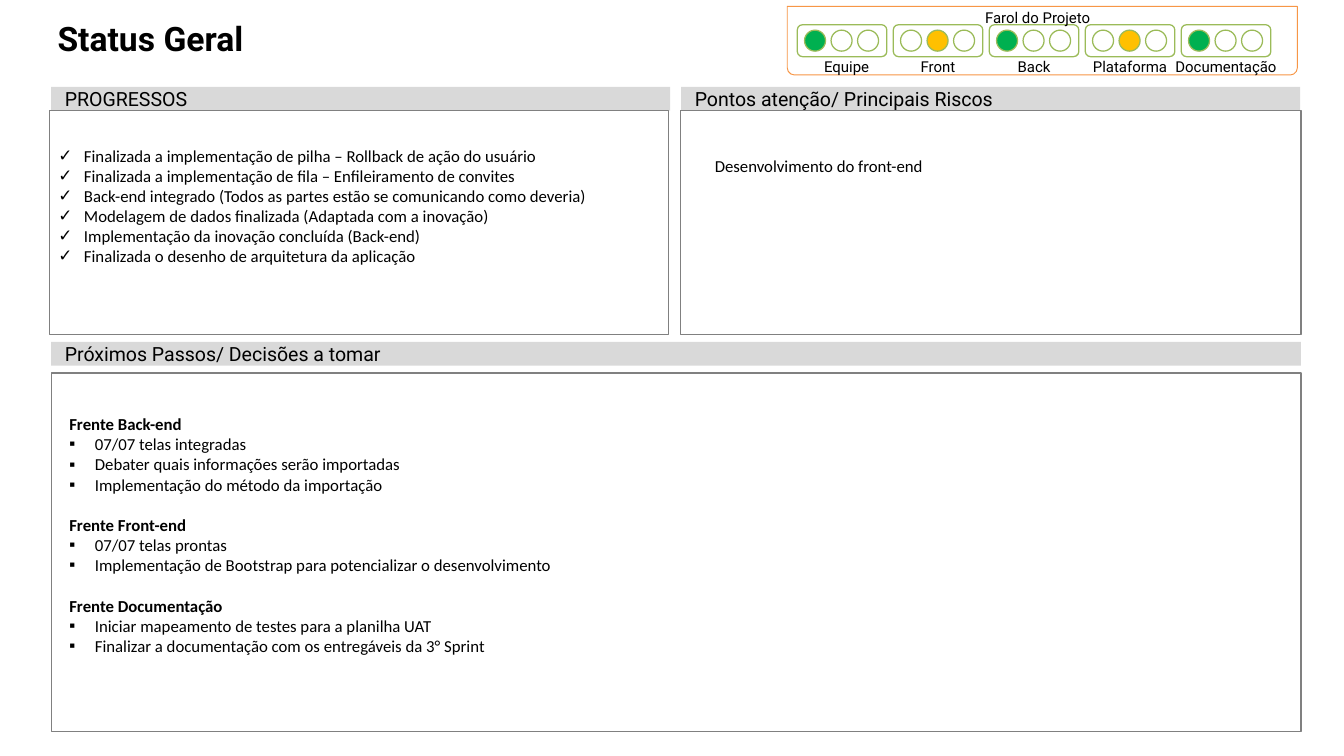
import lxml.etree
import pptx
import pptx.dml.color
import pptx.enum.shapes
import pptx.enum.text
import pptx.oxml.ns
import pptx.util

Inches = pptx.util.Inches
Pt = pptx.util.Pt
SHAPES = pptx.enum.shapes.MSO_SHAPE
ANCHOR = pptx.enum.text.MSO_ANCHOR
ALIGN = pptx.enum.text.PP_ALIGN

GREEN, YELLOW = "00B050", "FFC000"
LIGHTS = [
    ("Equipe", 0, GREEN, 0.05),
    ("Front", 1, YELLOW, 0),
    ("Back", 0, GREEN, 0),
    ("Plataforma", 1, YELLOW, 0),
    ("Documentação", 0, GREEN, 0),
]
PROGRESS = [
    "Finalizada a implementação de pilha – Rollback de ação do usuário",
    "Finalizada a implementação de fila – Enfileiramento de convites",
    "Back-end integrado (Todos as partes estão se comunicando como deveria)",
    "Modelagem de dados finalizada (Adaptada com a inovação)",
    "Implementação da inovação concluída (Back-end)",
    "Finalizada o desenho de arquitetura da aplicação",
]
NEXT_STEPS = {
    "Frente Back-end": [
        "07/07 telas integradas",
        "Debater quais informações serão importadas",
        "Implementação do método da importação",
    ],
    "Frente Front-end": [
        "07/07 telas prontas",
        "Implementação de Bootstrap para potencializar o desenvolvimento",
    ],
    "Frente Documentação": [
        "Iniciar mapeamento de testes para a planilha UAT",
        "Finalizar a documentação com os entregáveis da 3° Sprint",
    ],
}


def color(value):
    return pptx.dml.color.RGBColor.from_string(value)


def add_box(slide, kind, left, top, width, height, fill=None, line=None, weight=1):
    shape = slide.shapes.add_shape(kind, Inches(left), Inches(top), Inches(width), Inches(height))
    shape.shadow.inherit = False
    if fill:
        shape.fill.solid()
        shape.fill.fore_color.rgb = color(fill)
    else:
        shape.fill.background()
    if line:
        shape.line.color.rgb = color(line)
        shape.line.width = Pt(weight)
    else:
        shape.line.fill.background()
    return shape


def add_text_box(slide, left, top, width, height):
    return slide.shapes.add_textbox(Inches(left), Inches(top), Inches(width), Inches(height))


def set_frame(shape, anchor, margins):
    frame = shape.text_frame
    frame.word_wrap = True
    frame.vertical_anchor = anchor
    frame.margin_left, frame.margin_top, frame.margin_right, frame.margin_bottom = map(Inches, margins)
    return frame


def write(paragraph, text, size, font, bold=False, align=ALIGN.LEFT):
    paragraph.text = text
    paragraph.alignment = align
    for run in paragraph.runs:
        run.font.size = Pt(size)
        run.font.name = font
        run.font.bold = bold
        run.font.color.rgb = color("000000")


def add_bullet(paragraph, character):
    properties = paragraph._p.get_or_add_pPr()
    properties.set("marL", str(Inches(0.28)))
    properties.set("indent", str(Inches(-0.28)))
    font = lxml.etree.SubElement(properties, pptx.oxml.ns.qn("a:buFont"))
    font.set("typeface", "Calibri")
    bullet = lxml.etree.SubElement(properties, pptx.oxml.ns.qn("a:buChar"))
    bullet.set("char", character)


def write_lines(frame, lines):
    for index, (text, bullet, space) in enumerate(lines):
        paragraph = frame.add_paragraph() if index else frame.paragraphs[0]
        write(paragraph, text, 13.2, "Calibri", bold=bullet is None)
        paragraph.space_before = Pt(space)
        if bullet:
            add_bullet(paragraph, bullet)


def add_title(slide, left, top, width, height):
    title = add_text_box(slide, left, top, width, height)
    frame = set_frame(title, ANCHOR.TOP, (0.12, 0, 0.12, 0))
    write(frame.paragraphs[0], "Status Geral", 26.5, "Roboto", bold=True)


def add_label(slide, text, center, top):
    width = 1.6
    label = add_text_box(slide, center - width / 2, top, width, 0.2)
    frame = set_frame(label, ANCHOR.BOTTOM, (0, 0, 0, 0))
    write(frame.paragraphs[0], text, 11.8, "Roboto", align=ALIGN.CENTER)


def add_traffic_light(slide, left, top, name, lit, lit_color, label_shift):
    add_box(slide, SHAPES.ROUNDED_RECTANGLE, left, top, 0.98, 0.35, "FFFFFF", "9BBB59")
    for position in range(3):
        fill = lit_color if position == lit else "FFFFFF"
        add_box(slide, SHAPES.OVAL, left + 0.08 + 0.29 * position, top + 0.06, 0.23, 0.23, fill, "9BBB59")
    add_label(slide, name, left + 0.49 + label_shift, top + 0.36)


def add_project_lights(slide, left, top, width, height):
    border = add_box(slide, SHAPES.ROUND_2_SAME_RECTANGLE, left, top, width, height, line="F79646", weight=0.75)
    border.adjustments[0] = 0.106
    border.rotation = 180
    for index, light in enumerate(LIGHTS):
        add_traffic_light(slide, left + 0.11 + 1.05 * index, top + 0.2, *light)
    add_label(slide, "Farol do Projeto", left + 2.74, top + 0.02)


def add_header(slide, text, left, top, width):
    header = add_box(slide, SHAPES.RECTANGLE, left, top, width, 0.26, fill="D9D9D9")
    frame = set_frame(header, ANCHOR.MIDDLE, (0.15, 0.07, 0.15, 0.07))
    write(frame.paragraphs[0], text, 15.4, "Roboto")


def add_panel(slide, left, top, width, height):
    return add_box(slide, SHAPES.RECTANGLE, left, top, width, height, line="808080")


def add_progress(slide, left, top, width, height):
    add_header(slide, "PROGRESSOS", left + 0.02, top, width)
    panel = add_panel(slide, left, top + 0.26, width, height - 0.26)
    frame = set_frame(panel, ANCHOR.TOP, (0.1, 0.38, 0.1, 0.05))
    write_lines(frame, [(text, "✓", 0) for text in PROGRESS])


def add_risks(slide, left, top, width, height):
    add_header(slide, "Pontos atenção/ Principais Riscos", left + 0.01, top, width - 0.02)
    add_panel(slide, left, top + 0.26, width, height - 0.26)
    note = add_text_box(slide, left + 0.28, top + 0.7, 4, 0.32)
    frame = set_frame(note, ANCHOR.TOP, (0.1, 0.05, 0.1, 0.05))
    write(frame.paragraphs[0], "Desenvolvimento do front-end", 13.2, "Calibri")


def add_next_steps(slide, left, top, width, height):
    add_header(slide, "Próximos Passos/ Decisões a tomar", left, top, width)
    add_panel(slide, left, top + 0.34, width, height - 0.34)
    steps = add_text_box(slide, left + 0.1, top + 0.74, 7, 2.8)
    frame = set_frame(steps, ANCHOR.TOP, (0.1, 0.05, 0.1, 0.05))
    lines = []
    for front, tasks in NEXT_STEPS.items():
        lines.append((front, None, 16 if lines else 0))
        lines.extend((task, "▪", 0) for task in tasks)
    write_lines(frame, lines)


def main():
    presentation = pptx.Presentation()
    presentation.slide_width = Inches(14.7)
    presentation.slide_height = Inches(8.27)
    slide = presentation.slides.add_slide(presentation.slide_layouts[6])
    add_title(slide, 0.51, 0.2, 8, 0.6)
    add_project_lights(slide, 8.61, 0.07, 5.58, 0.75)
    add_progress(slide, 0.54, 0.95, 6.77, 2.71)
    add_risks(slide, 7.44, 0.95, 6.79, 2.71)
    add_next_steps(slide, 0.56, 3.74, 13.67, 4.26)
    presentation.save("out.pptx")


if __name__ == "__main__":
    main()
